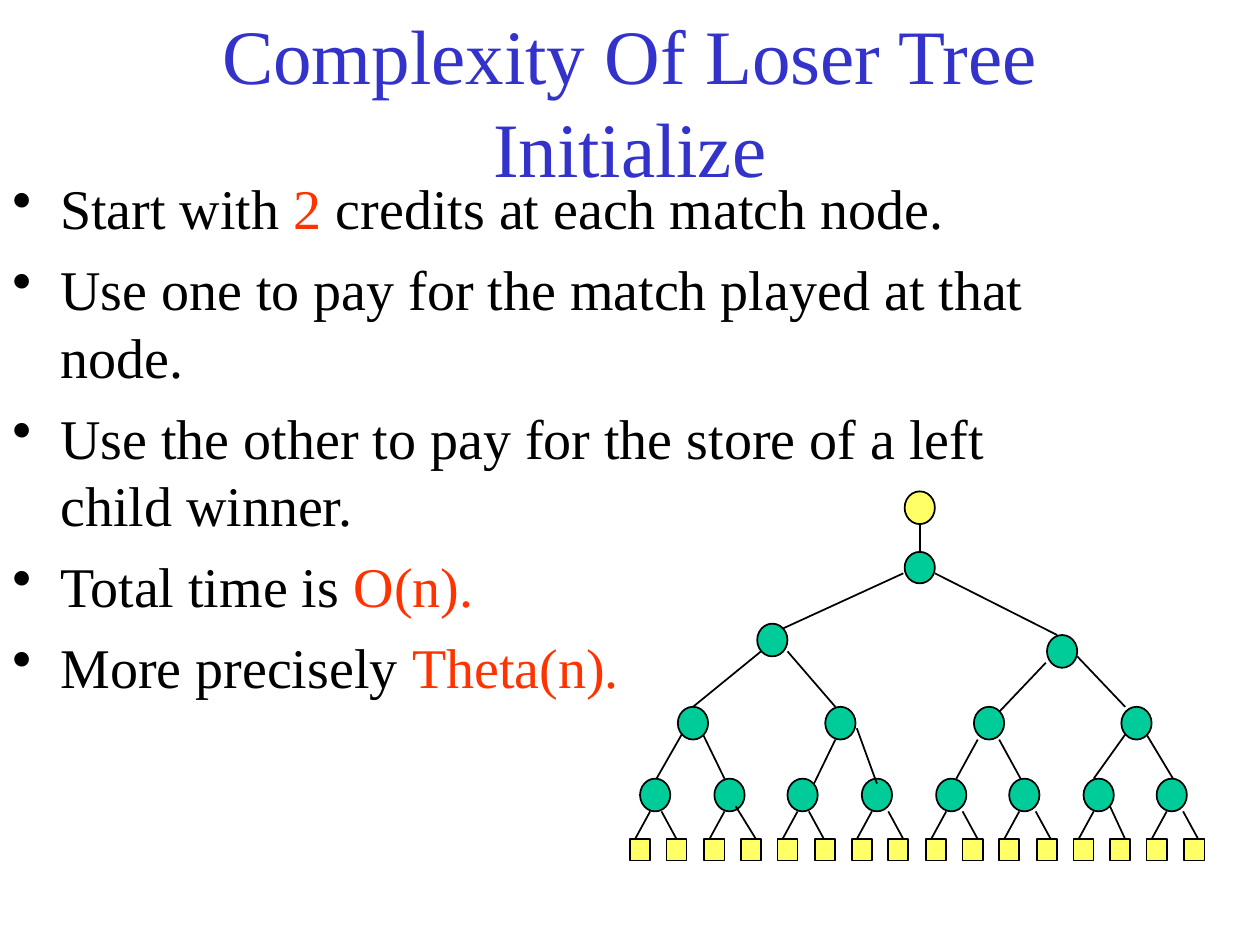
"""Build the slide on the cost of setting up a loser tree."""
import typing

import pptx
import pptx.dml.color
import pptx.enum.shapes
import pptx.enum.text
import pptx.oxml.ns
import pptx.util
from lxml import etree

SCALE = 9144
FONT = "Times New Roman"
BLACK = pptx.dml.color.RGBColor(0x00, 0x00, 0x00)
BLUE = pptx.dml.color.RGBColor(0x33, 0x33, 0xCC)
RED = pptx.dml.color.RGBColor(0xFF, 0x33, 0x00)
GREEN = pptx.dml.color.RGBColor(0x00, 0xCC, 0x99)
YELLOW = pptx.dml.color.RGBColor(0xFF, 0xFF, 0x66)
WHITE = pptx.dml.color.RGBColor(0xFF, 0xFF, 0xFF)
OVAL = pptx.enum.shapes.MSO_SHAPE.OVAL
SQUARE = pptx.enum.shapes.MSO_SHAPE.RECTANGLE
STEP = 58.64


class Row(typing.NamedTuple):
    left: int
    top: int
    count: int = 1
    gap: float = 0
    fill: pptx.dml.color.RGBColor = GREEN
    kind: typing.Any = OVAL
    width: int = 24
    height: int = 26


class Link(typing.NamedTuple):
    x1: int
    y1: int
    x2: int
    y2: int


class Part(typing.NamedTuple):
    text: str
    color: pptx.dml.color.RGBColor = BLACK


ROWS = [
    Row(500, 666, 16, STEP / 2, YELLOW, SQUARE, 16, 17),
    Row(508, 618, 8, STEP),
    Row(538, 561, 4, 2 * STEP),
    Row(601, 495),
    Row(831, 504),
    Row(718, 438, height=25),
    Row(718, 390, fill=YELLOW),
]

UPPER = [
    Link(730, 416, 730, 438),
    Link(717, 455, 621, 499), Link(742, 455, 839, 504),
    Link(604, 517, 550, 561), Link(625, 517, 663, 561),
    Link(830, 526, 793, 565), Link(855, 521, 893, 561),
    Link(541, 583, 521, 618), Link(558, 583, 575, 618),
    Link(663, 587, 646, 622), Link(680, 578, 696, 622),
    Link(776, 587, 759, 618), Link(793, 587, 810, 618),
    Link(893, 583, 868, 618), Link(910, 583, 931, 618),
]

LINES = [
    [Part("Start with "), Part("2", RED), Part(" credits at each match node.")],
    [Part("Use one to pay for the match played at that node.")],
    [Part("Use the other to pay for the store of a left child winner.")],
    [Part("Total time is "), Part("O(n).", RED)],
    [Part("More precisely "), Part("Theta(n).", RED)],
]


def px(size: float) -> int:
    return round(size) * SCALE


def lower() -> typing.Iterator[Link]:
    for i in range(8):
        base = round(i * STEP)
        yield Link(516 + base, 644, 504 + base, 666)
        top = 640 if i in (1, 6) else 644
        head = 4 if i > 2 else 0
        foot = 4 if i == 1 else head
        yield Link(525 + base + head, top, 537 + base + foot, 666)


def draw_row(slide: typing.Any, row: Row) -> None:
    for i in range(row.count):
        node = slide.shapes.add_shape(
            row.kind, px(row.left + i * row.gap), px(row.top),
            px(row.width), px(row.height))
        node.shadow.inherit = False
        node.fill.solid()
        node.fill.fore_color.rgb = row.fill
        node.line.color.rgb = BLACK
        node.line.width = pptx.util.Pt(1)


def draw_link(slide: typing.Any, link: Link) -> None:
    line = slide.shapes.add_connector(
        pptx.enum.shapes.MSO_CONNECTOR.STRAIGHT, *map(px, link))
    line.line.color.rgb = BLACK
    line.line.width = pptx.util.Pt(1)
    props = line._element.spPr
    etree.SubElement(props, pptx.oxml.ns.qn("a:effectLst"))


def add_box(slide: typing.Any, left: int, top: int,
            width: int, height: int) -> typing.Any:
    box = slide.shapes.add_textbox(px(left), px(top), px(width), px(height))
    box.text_frame.word_wrap = True
    return box.text_frame


def style(run: typing.Any, size: int, color: pptx.dml.color.RGBColor) -> None:
    run.font.name = FONT
    run.font.size = pptx.util.Pt(size)
    run.font.color.rgb = color


def draw_title(slide: typing.Any) -> None:
    frame = add_box(slide, 75, 17, 850, 125)
    frame.vertical_anchor = pptx.enum.text.MSO_ANCHOR.MIDDLE
    frame.text = "Complexity Of Loser Tree Initialize"
    para = frame.paragraphs[0]
    para.alignment = pptx.enum.text.PP_ALIGN.CENTER
    style(para.runs[0], 44, BLUE)


def add_bullet(para: typing.Any) -> None:
    props = para._p.get_or_add_pPr()
    props.set("marL", str(px(38)))
    props.set("indent", str(px(-38)))
    mark = etree.SubElement(props, pptx.oxml.ns.qn("a:buChar"))
    mark.set("char", "•")


def draw_body(slide: typing.Any) -> None:
    frame = add_box(slide, 0, 133, 850, 450)
    for i, parts in enumerate(LINES):
        para = frame.add_paragraph() if i else frame.paragraphs[0]
        para.space_before = pptx.util.Pt(8)
        add_bullet(para)
        for part in parts:
            run = para.add_run()
            run.text = part.text
            style(run, 32, part.color)


def main() -> None:
    deck = pptx.Presentation()
    deck.slide_width = px(1000)
    deck.slide_height = px(750)
    slide = deck.slides.add_slide(deck.slide_layouts[6])
    slide.background.fill.solid()
    slide.background.fill.fore_color.rgb = WHITE
    draw_title(slide)
    draw_body(slide)
    for row in ROWS:
        draw_row(slide, row)
    for link in [*UPPER, *lower()]:
        draw_link(slide, link)
    deck.save("out.pptx")


if __name__ == "__main__":
    main()
